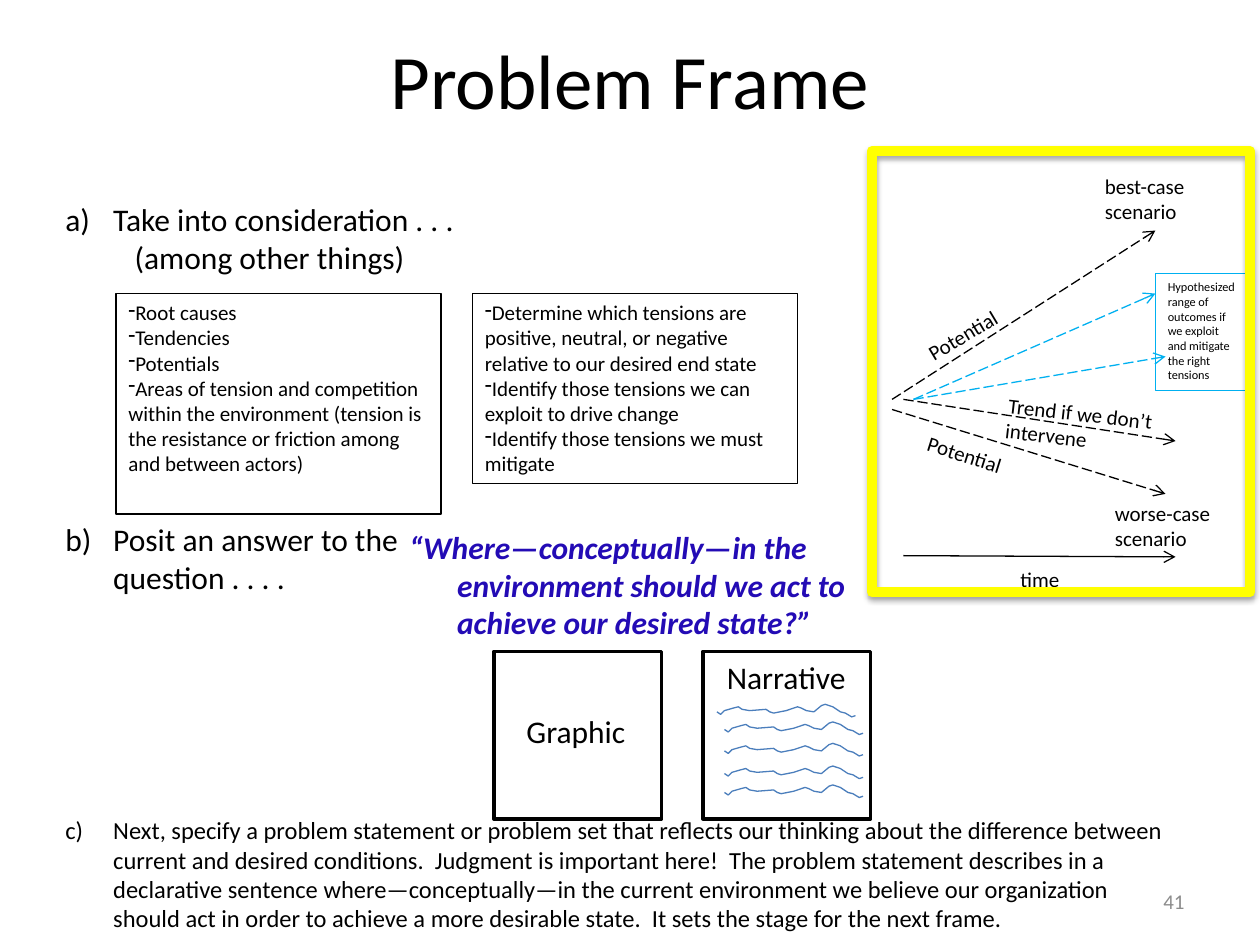
from lxml import etree
from pptx import Presentation
from pptx.dml.color import RGBColor
from pptx.enum.dml import MSO_LINE
from pptx.enum.shapes import MSO_CONNECTOR, MSO_SHAPE
from pptx.enum.text import MSO_ANCHOR, PP_ALIGN
from pptx.oxml.ns import qn
from pptx.util import Pt

PX = 9144  # one px is a hundredth of an inch
FONT = "Calibri"
RECT, STRAIGHT, DASH = MSO_SHAPE.RECTANGLE, MSO_CONNECTOR.STRAIGHT, MSO_LINE.LONG_DASH
LEFT, CENTER, RIGHT = PP_ALIGN.LEFT, PP_ALIGN.CENTER, PP_ALIGN.RIGHT
TOP, MIDDLE = MSO_ANCHOR.TOP, MSO_ANCHOR.MIDDLE
COLORS = {"text": "000000", "quote": "230BB5", "wave": "4B7EBC",
          "range": "00B0F0", "frame": "FFFF00", "number": "8C8C8C"}
HANG, SUB_INDENT = 38, 55

TITLE = ("Problem Frame", (50, 0, 900, 125))
STEPS = [  # place, size, paragraphs
    ((42, 154, 358, 71), 18, ["Take into consideration . . .", "(among other things)"]),
    ((42, 408, 358, 71), 18, ["Posit an answer to the question . . . ."]),
    ((42, 642, 892, 104), 14, [
        "Next, specify a problem statement or problem set that reflects our thinking about "
        "the difference between current and desired conditions.  Judgment is important here!  "
        "The problem statement describes in a declarative sentence where—conceptually—in the "
        "current environment we believe our organization should act in order to achieve a "
        "more desirable state.  It sets the stage for the next frame."]),
]
CONSIDERATIONS = [
    ((92, 233, 258, 175), [
        "Root causes", "Tendencies", "Potentials",
        "Areas of tension and competition within the environment (tension is the resistance "
        "or friction among and between actors)"]),
    ((375, 233, 258, 151), [
        "Determine which tensions are positive, neutral, or negative relative to our desired "
        "end state",
        "Identify those tensions we can exploit to drive change",
        "Identify those tensions we must mitigate"]),
]
QUOTE = ("“Where—conceptually—in the environment should we act to achieve our desired state?”",
         (315, 414, 417, 101))
PRODUCTS = [  # square, label, label place
    ((392, 517, 133, 133), "Graphic", (408, 560, 117, 40)),
    ((558, 517, 133, 133), "Narrative", (567, 517, 125, 40)),
]
WAVE = [(110, 9), (107, 10), (102, 7), (98, 6), (92, 2), (86, 0), (83, 1), (77, 6),
        (71, 5), (67, 3), (64, 2), (58, 4), (55, 5), (45, 7), (42, 6), (39, 4),
        (26, 5), (20, 4), (17, 2), (13, 3), (6, 5), (3, 8), (0, 6)]
WAVE_ORIGINS = [(569, 559), (575, 573), (575, 590), (575, 608), (575, 623)]
ARROWS = [  # from, to, colour, dash
    ((708, 317), (917, 183), "text", DASH),
    ((708, 325), (925, 392), "text", DASH),
    ((717, 441), (933, 442), "text", None),
    ((717, 317), (933, 350), "text", DASH),
    ((725, 317), (917, 233), "range", DASH),
    ((725, 317), (925, 283), "range", DASH),
]
LABELS = [  # text, place, rotation
    ("best-case scenario", (867, 133, 92, 51), 0),
    ("worse-case scenario", (875, 392, 108, 51), 0),
    ("time", (800, 445, 108, 30), 0),
    ("Trend if we don’t intervene", (789, 314, 150, 51), 6.6),
    ("Potential", (719, 233, 150, 30), 329.1),
    ("Potential", (724, 356, 150, 30), 17.4),
]
OUTCOMES = ("Hypothesized range of outcomes if we exploit and mitigate the right tensions",
            (917, 217, 75, 93))
NUMBER = ("41", (717, 695, 233, 40))
FRAME = (692, 120, 300, 350)


def rgb(name):
    return RGBColor.from_string(COLORS[name])


def emu(values):
    return [v * PX for v in values]


def set_line(sp, color, width):
    sp.line.color.rgb = rgb(color)
    sp.line.width = Pt(width)


def write(sp, paragraphs, size, color="text", align=LEFT, anchor=TOP, emphasis=False):
    tf = sp.text_frame
    tf.word_wrap = True
    tf.vertical_anchor = anchor
    tf.text = "\n".join(paragraphs)
    for p in tf.paragraphs:
        p.alignment = align
        for r in p.runs:
            r.font.name, r.font.size = FONT, Pt(size)
            r.font.color.rgb = rgb(color)
            if emphasis:
                r.font.bold = r.font.italic = True


def add_label(text, at, size, **style):
    sp = slide.shapes.add_textbox(*emu(at))
    write(sp, [text], size, **style)
    return sp


def add_outline(at, color, width):
    sp = slide.shapes.add_shape(RECT, *emu(at))
    sp.shadow.inherit = False
    sp.fill.background()
    set_line(sp, color, width)
    return sp


def indent(p, left, first=0):
    pPr = p._p.get_or_add_pPr()
    pPr.set("marL", str(left * PX))
    pPr.set("indent", str(first * PX))
    return pPr


def add_arrow(start, end, color, dash):
    cx = slide.shapes.add_connector(STRAIGHT, *emu(start + end))
    set_line(cx, color, 0.75)
    if dash:
        cx.line.dash_style = dash
    etree.SubElement(cx.line._get_or_add_ln(), qn("a:tailEnd"), type="arrow")
    etree.SubElement(cx._element.spPr, qn("a:effectLst"))


def add_wave(origin):
    fb = slide.shapes.build_freeform(*WAVE[0], scale=PX)
    fb.add_line_segments(WAVE[1:], close=False)
    sp = fb.convert_to_shape(*emu(origin))
    sp.shadow.inherit = False
    sp.fill.background()
    set_line(sp, "wave", 0.75)


def add_shadow(sp):
    effects = sp._element.spPr.find(qn("a:effectLst"))
    shadow = etree.SubElement(effects, qn("a:outerShdw"), blurRad="40000", dist="23000",
                              dir="5400000", rotWithShape="0")
    color = etree.SubElement(shadow, qn("a:srgbClr"), val=COLORS["text"])
    etree.SubElement(color, qn("a:alpha"), val="35000")


prs = Presentation()
prs.slide_width, prs.slide_height = emu((1000, 750))
slide = prs.slides.add_slide(prs.slide_layouts[5])

title = slide.shapes.title
title.left, title.top, title.width, title.height = emu(TITLE[1])
write(title, [TITLE[0]], 44, align=CENTER, anchor=MIDDLE)

for number, (at, size, paragraphs) in enumerate(STEPS, 1):
    sp = slide.shapes.add_textbox(*emu(at))
    write(sp, paragraphs, size)
    first, *rest = sp.text_frame.paragraphs
    etree.SubElement(indent(first, HANG, -HANG), qn("a:buAutoNum"),
                     type="alphaLcParenR", startAt=str(number))
    for p in rest:
        indent(p, SUB_INDENT)

for at, points in CONSIDERATIONS:
    sp = add_outline(at, "text", 0.75)
    write(sp, points, 12)
    for p in sp.text_frame.paragraphs:
        etree.SubElement(indent(p, 0), qn("a:buChar"), char="-")

quote = add_label(*QUOTE, 18, color="quote", emphasis=True)
indent(quote.text_frame.paragraphs[0], HANG, -HANG)

for square, text, at in PRODUCTS:
    add_outline(square, "text", 2)
    add_label(text, at, 18)
for origin in WAVE_ORIGINS:
    add_wave(origin)

for arrow in ARROWS:
    add_arrow(*arrow)
for text, at, rotation in LABELS:
    add_label(text, at, 12).rotation = rotation
write(add_outline(OUTCOMES[1], "range", 0.75), [OUTCOMES[0]], 7)

add_label(*NUMBER, 12, color="number", align=RIGHT, anchor=MIDDLE)
add_shadow(add_outline(FRAME, "frame", 6))

prs.save("out.pptx")
